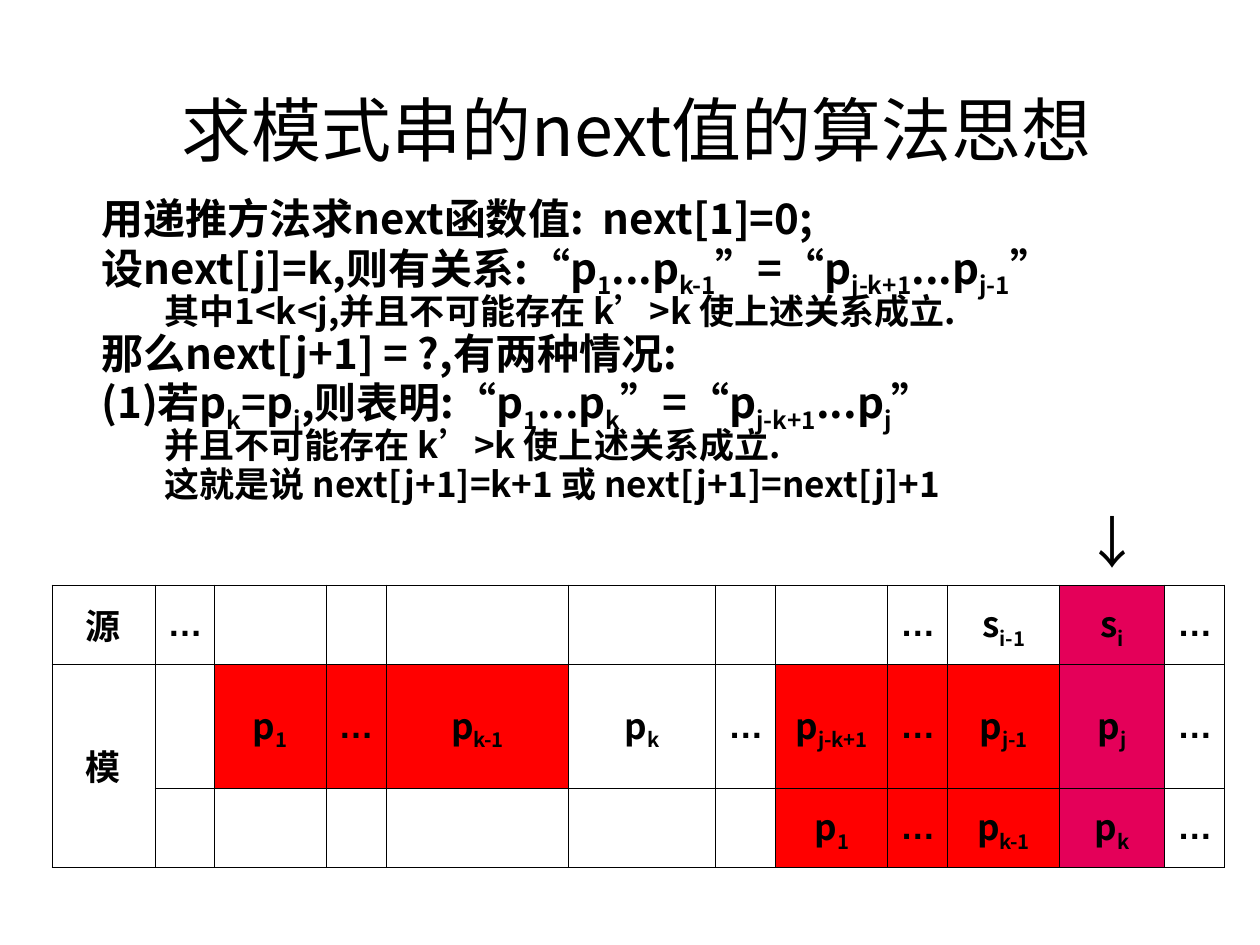
from itertools import groupby

from lxml import etree
from pptx import Presentation
from pptx.dml.color import RGBColor
from pptx.enum.lang import MSO_LANGUAGE_ID
from pptx.enum.text import MSO_ANCHOR, PP_ALIGN
from pptx.oxml.ns import qn
from pptx.util import Pt

PX = 914400 // 126
BLACK = RGBColor(0x00, 0x00, 0x00)
RED = RGBColor(0xFF, 0x00, 0x00)
MAGENTA = RGBColor(0xE4, 0x00, 0x59)
CENTER = PP_ALIGN.CENTER
MIDDLE = MSO_ANCHOR.MIDDLE
CHINESE = MSO_LANGUAGE_ID.SIMPLIFIED_CHINESE

CJK = "Noto Sans CJK SC"
PUNCTUATION_FONT = "Arial"
PUNCTUATION = "“”’…"
TITLE_FONT = "Calibri"

TITLE = [("求模式串的", TITLE_FONT), ("next", CJK), ("值的算法思想", TITLE_FONT)]

# level and text; every second part between bars is a subscript
LINES = [
    (0, "用递推方法求next函数值:  next[1]=0;"),
    (0, "设next[j]=k,则有关系:“p|1|...p|k-1|”=“p|j-k+1|...p|j-1|”"),
    (1, "其中1<k<j,并且不可能存在 k’>k 使上述关系成立."),
    (0, "那么next[j+1] = ?,有两种情况:"),
    (0, "(1)若p|k|=p|j|,则表明:“p|1|...p|k|”=“p|j-k+1|...p|j|”"),
    (1, "并且不可能存在 k’>k 使上述关系成立."),
    (1, "这就是说 next[j+1]=k+1 或 next[j+1]=next[j]+1"),
]
LEVELS = [
    {"size": 24, "margin": 48, "indent": -48, "before": 6},
    {"size": 20, "margin": 102, "indent": -39, "before": 5},
]

COLUMNS = [103, 59, 112, 60, 183, 147, 60, 112, 60, 112, 105, 60]
ROWS = [93, 79, 124, 79]
ARROW_COLUMN = 10
GRID = [
    ["源", "…", "", "", "", "", "", "", "…", "s|i-1", "s|i", "…"],
    ["模", "", "p|1", "…", "p|k-1", "p|k", "…", "p|j-k+1", "…", "p|j-1", "p|j", "…"],
    ["", "", "", "", "", "", "", "p|1", "…", "p|k-1", "p|k", "…"],
]
RED_COLUMNS = [(), (2, 3, 4, 7, 8, 9), (7, 8, 9)]


def add_span(para, text, font, size, bold=False, subscript=False):
    span = para.add_run()
    span.text = text
    span.font.name = font
    span.font.size = Pt(size)
    span.font.bold = bold
    span.font.color.rgb = BLACK
    span.font.language_id = CHINESE
    props = span._r.get_or_add_rPr()
    etree.SubElement(props, qn("a:ea"), typeface=CJK)
    if subscript:
        props.set("baseline", "-25000")


def add_formula(para, text, size):
    for number, part in enumerate(text.split("|")):
        for special, chars in groupby(part, lambda char: char in PUNCTUATION):
            font = PUNCTUATION_FONT if special else CJK
            add_span(para, "".join(chars), font, size, True, number % 2 == 1)


def add_text_frame(page, left, top, width, height):
    box = page.shapes.add_textbox(left * PX, top * PX, width * PX, height * PX)
    box.text_frame.word_wrap = True
    return box.text_frame


def add_title(page, left, top, width, height):
    frame = add_text_frame(page, left, top, width, height)
    frame.vertical_anchor = MIDDLE
    para = frame.paragraphs[0]
    para.alignment = CENTER
    for text, font in TITLE:
        add_span(para, text, font, 40)


def add_body(page, left, top, width, height):
    frame = add_text_frame(page, left, top, width, height)
    for number, (level, text) in enumerate(LINES):
        para = frame.paragraphs[0] if number == 0 else frame.add_paragraph()
        style = LEVELS[level]
        para.level = level
        para.line_spacing = 0.7
        if number:
            para.space_before = Pt(style["before"])
        props = para._p.get_or_add_pPr()
        props.set("marL", str(style["margin"] * PX))
        props.set("indent", str(style["indent"] * PX))
        add_formula(para, text, style["size"])


def add_borders(cell, visible):
    props = cell._tc.get_or_add_tcPr()
    for side in "LRTB":
        line = etree.SubElement(props, qn("a:ln" + side), w=str(Pt(0.45)))
        if side in visible:
            fill = etree.SubElement(line, qn("a:solidFill"))
            etree.SubElement(fill, qn("a:srgbClr"), val=str(BLACK))
        else:
            etree.SubElement(line, qn("a:noFill"))


def fill_cell(cell, color):
    if color is None:
        cell.fill.background()
    else:
        cell.fill.solid()
        cell.fill.fore_color.rgb = color


def add_match_table(page, left, top):
    frame = page.shapes.add_table(len(ROWS), len(COLUMNS), left * PX, top * PX,
                                  sum(COLUMNS) * PX, sum(ROWS) * PX)
    table = frame.table
    table.first_row = False
    table.horz_banding = False
    for column, width in zip(table.columns, COLUMNS):
        column.width = width * PX
    for row, height in zip(table.rows, ROWS):
        row.height = height * PX

    for index in range(len(COLUMNS)):
        cell = table.cell(0, index)
        add_borders(cell, "B")
        fill_cell(cell, None)
    arrow = table.cell(0, ARROW_COLUMN).text_frame.paragraphs[0]
    arrow.alignment = CENTER
    add_span(arrow, "↓", CJK, 32)

    for row, texts in enumerate(GRID):
        for column, text in enumerate(texts):
            cell = table.cell(row + 1, column)
            add_borders(cell, "LRTB")
            color = RED if column in RED_COLUMNS[row] else None
            fill_cell(cell, MAGENTA if column == ARROW_COLUMN else color)
            cell.vertical_anchor = MIDDLE
            if text:
                para = cell.text_frame.paragraphs[0]
                para.alignment = CENTER
                add_formula(para, text, 20)
    table.cell(2, 0).merge(table.cell(3, 0))


def main():
    deck = Presentation()
    deck.slide_width = 1260 * PX
    deck.slide_height = 945 * PX
    page = deck.slides.add_slide(deck.slide_layouts[6])
    add_title(page, 101, 72, 1071, 113)
    add_body(page, 89, 200, 1171, 336)
    add_match_table(page, 52, 492)
    deck.save("out.pptx")


if __name__ == "__main__":
    main()
